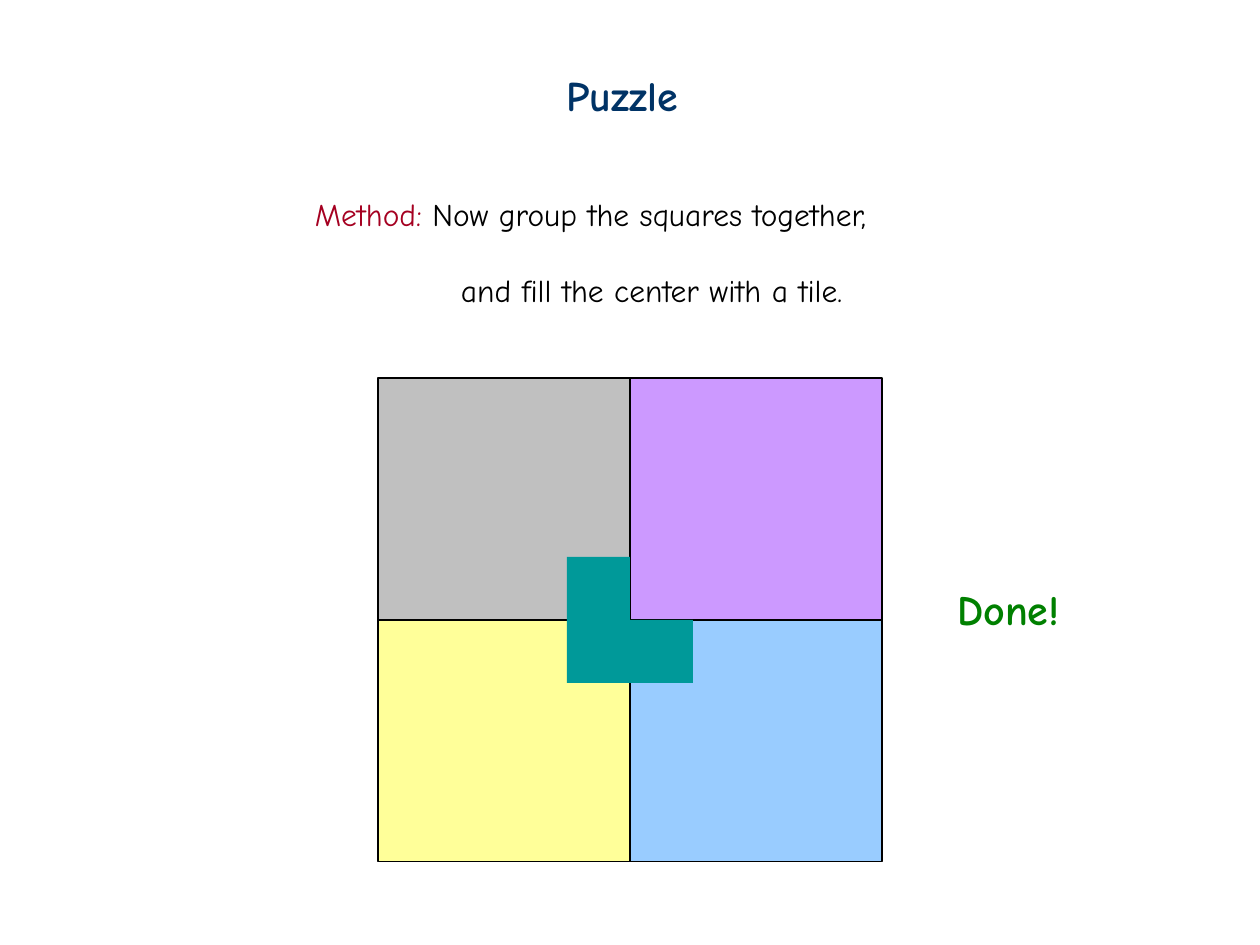
from pptx import Presentation
from pptx.dml.color import RGBColor
from pptx.enum.shapes import MSO_SHAPE as Preset
from pptx.enum.text import MSO_AUTO_SIZE as AutoSize
from pptx.util import Inches, Pt

NAVY = RGBColor(0x00, 0x33, 0x66)
CRIMSON = RGBColor(0xA5, 0x00, 0x21)
GREEN = RGBColor(0x00, 0x80, 0x00)
BLACK = RGBColor(0x00, 0x00, 0x00)
GRAY = RGBColor(0xC0, 0xC0, 0xC0)
PURPLE = RGBColor(0xCC, 0x99, 0xFF)
YELLOW = RGBColor(0xFF, 0xFF, 0x99)
BLUE = RGBColor(0x99, 0xCC, 0xFF)
TEAL = RGBColor(0x00, 0x99, 0x99)

CELL = 0.5  # inches per grid column and row
COLUMNS, ROWS = 20, 15


class PuzzleSlide:
    """Holds the slide and its style; lengths are grid columns and rows."""
    font_name = "Comic Neue"

    def __init__(self, deck):
        self.slide = deck.slides.add_slide(deck.slide_layouts[6])

    def place(self, *lengths):
        return [Inches(length * CELL) for length in lengths]

    def text(self, column, row, width, height, lines, size, bold=None):
        """Each line is a list of (wording, colour) pairs."""
        box = self.slide.shapes.add_textbox(*self.place(column, row, width, height))
        frame = box.text_frame
        frame.word_wrap = True
        frame.auto_size = AutoSize.SHAPE_TO_FIT_TEXT
        for index, line in enumerate(lines):
            paragraph = frame.add_paragraph() if index else frame.paragraphs[0]
            for wording, color in line:
                run = paragraph.add_run()
                run.text = wording
                run.font.name = self.font_name
                run.font.size = Pt(size)
                run.font.bold = bold
                run.font.color.rgb = color
        return frame

    def square(self, column, row, width, height, fill, outline=None, parent=None):
        shapes = (parent or self.slide).shapes
        square = shapes.add_shape(
            Preset.RECTANGLE, *self.place(column, row, width, height))
        square.shadow.inherit = False
        square.fill.solid()
        square.fill.fore_color.rgb = fill
        if outline is None:
            square.line.fill.background()
        else:
            square.line.color.rgb = outline
            square.line.width = Pt(0.75)

    def tile(self, cells, fill):
        """Group unit squares into one tile."""
        group = self.slide.shapes.add_group_shape()
        for column, row in cells:
            self.square(column, row, 1, 1, fill, parent=group)


def main():
    deck = Presentation()
    deck.slide_width = Inches(COLUMNS * CELL)
    deck.slide_height = Inches(ROWS * CELL)
    puzzle = PuzzleSlide(deck)

    puzzle.text(8.8, 1, 2.4, 1, [[("Puzzle", NAVY)]], 24, bold=True)
    method = puzzle.text(4.8, 3, 10.2, 2, [
        [("Method:", CRIMSON), (" Now group the squares together,", BLACK)],
        [("and fill the center with a tile.", BLACK)],
    ], 18)
    second_line = method.paragraphs[1]
    second_line.space_before = Pt(21.7)
    second_line._p.get_or_add_pPr().set("marL", str(Inches(1.16)))

    center_column, center_row = 10, 9.84
    width, height = 4, 3.84
    quadrants = [(0, 0, BLUE), (0, -1, PURPLE), (-1, -1, GRAY), (-1, 0, YELLOW)]
    for across, down, color in quadrants:
        puzzle.square(center_column + across * width, center_row + down * height,
                      width, height, color, outline=BLACK)

    puzzle.text(15, 9.16, 2.34, 1, [[("Done!", GREEN)]], 24, bold=True)
    puzzle.tile([(center_column + across, center_row + down)
                 for across, down in [(-1, 0), (-1, -1), (0, 0)]], TEAL)

    deck.save("out.pptx")


if __name__ == "__main__":
    main()
